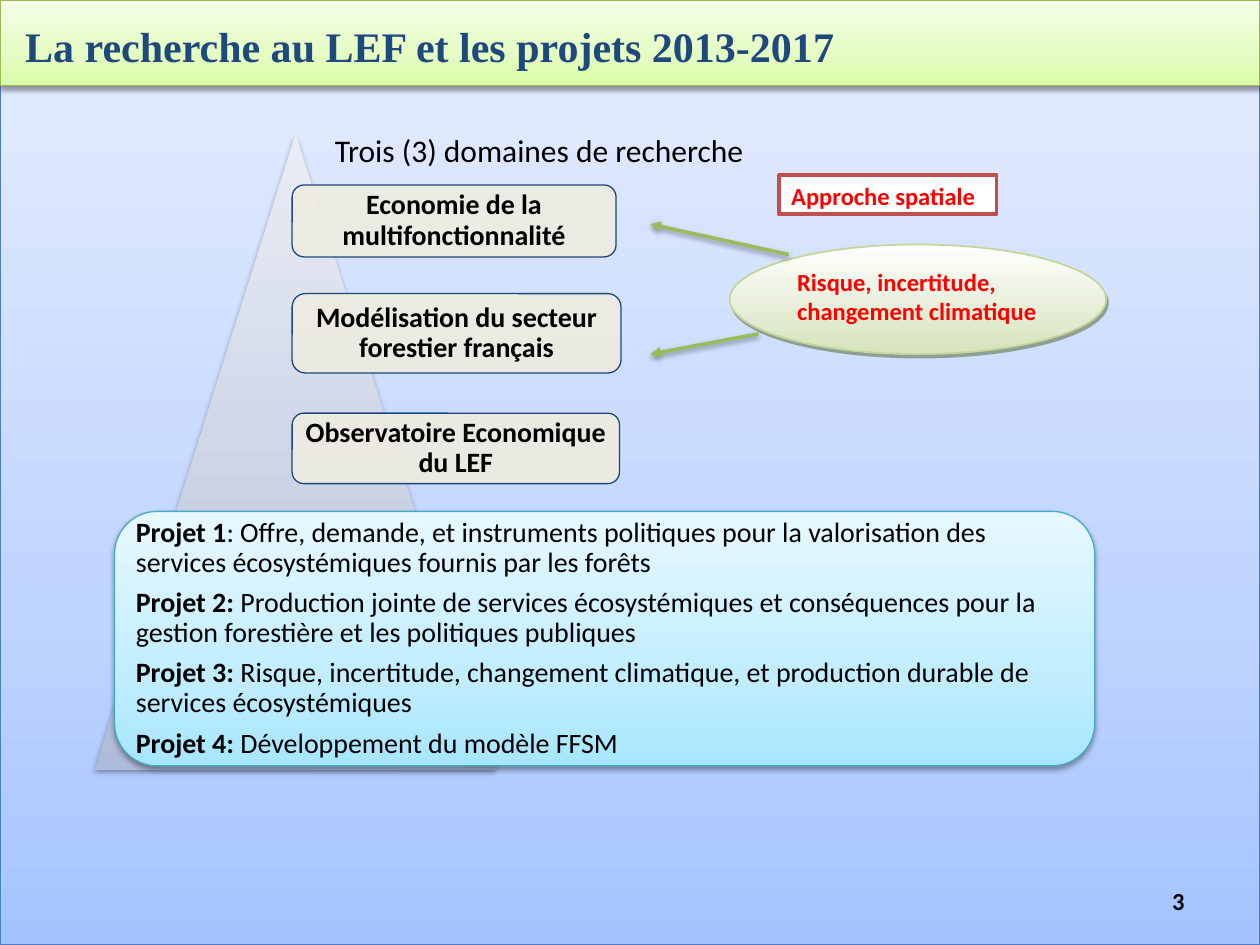
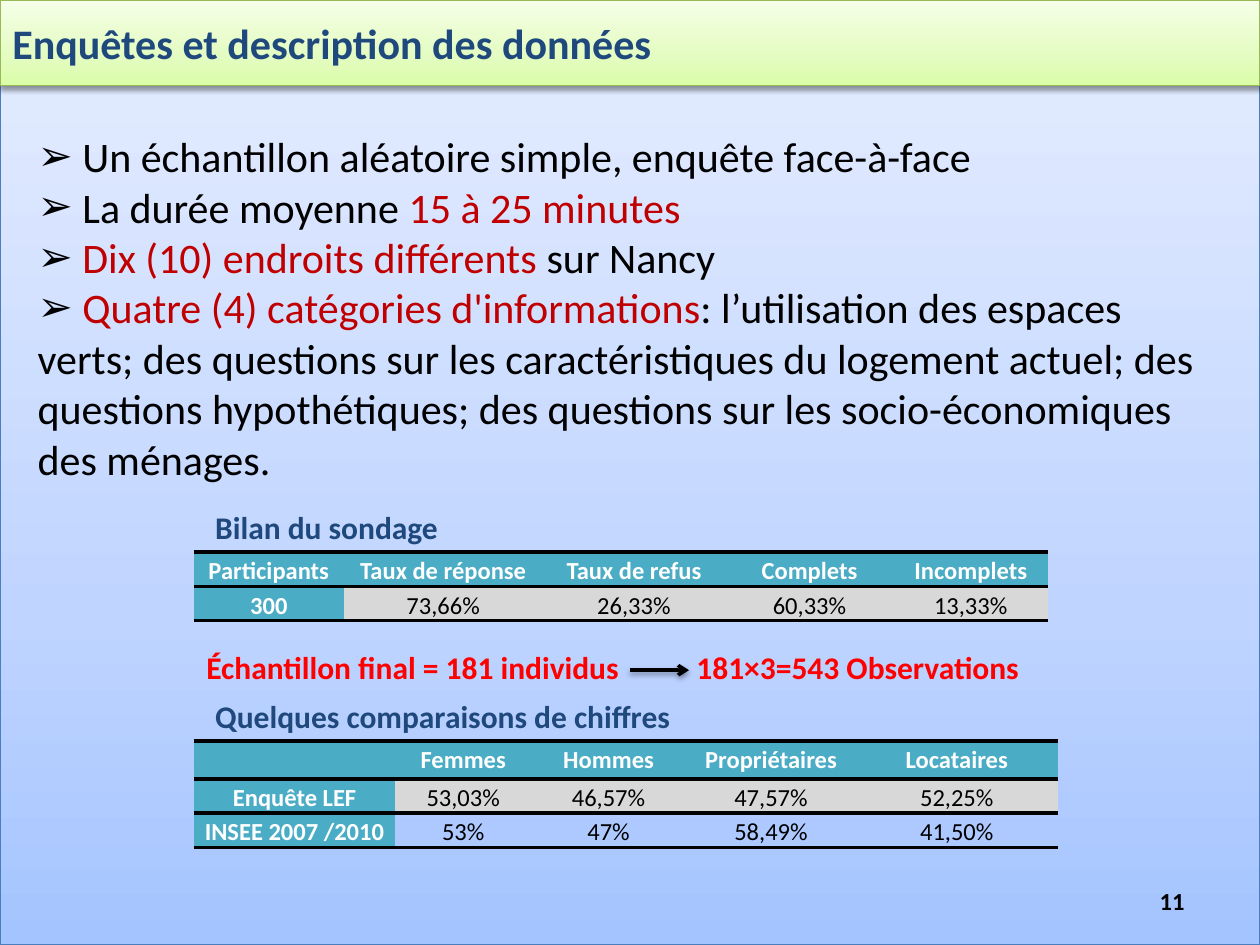
from dataclasses import dataclass

from lxml import etree
from pptx import Presentation
from pptx import util as u
from pptx.dml import color
from pptx.enum import shapes, text
from pptx.oxml import ns

# ---------- Content ----------
TITLES = {
    "research": dict(words="La recherche au LEF et les projets 2013-2017",
                     font="Times New Roman", left=0.51, top=0.24, page="3"),
    "survey": dict(words="Enquêtes et description des données",
                   font="Calibri", left=0.25, top=0.13, page="11"),
}
DOMAINS_HEADING = "Trois (3) domaines de recherche"
DOMAINS = [  # words, top, width, height
    ("Economie de la multifonctionnalité", 3.73, 6.53, 1.45),
    ("Modélisation du secteur forestier français", 5.92, 6.63, 1.6),
    ("Observatoire Economique du LEF", 8.33, 6.6, 1.42),
]
PROJECTS = [
    ("Projet 1", ": Offre, demande, et instruments politiques pour la valorisation "
                 "des services écosystémiques fournis par les forêts"),
    ("Projet 2: ", "Production jointe de services écosystémiques et conséquences "
                   "pour la gestion forestière et les politiques publiques"),
    ("Projet 3: ", "Risque, incertitude, changement climatique, et production "
                   "durable de services écosystémiques"),
    ("Projet 4: ", "Développement du modèle FFSM"),
]
APPROACH = "Approche spatiale"
RISK = "Risque, incertitude, changement climatique"
RISK_ARROWS = [(15.9, 5.13, 13.11, 4.52), (15.29, 6.73, 13.11, 7.14)]

METHOD = [  # each run: words, stressed or not
    [(" Un échantillon aléatoire simple, enquête face-à-face", False)],
    [(" La durée moyenne ", False), ("15 à 25 minutes", True)],
    [(" ", False), ("Dix (10) endroits différents ", True), ("sur Nancy", False)],
    [(" ", False), ("Quatre (4) catégories d'informations", True),
     (": l’utilisation des espaces verts; des questions sur les caractéristiques "
      "du logement actuel; des questions hypothétiques; des questions sur les "
      "socio-économiques des ménages.", False)],
]
SAMPLE = [("Échantillon final = 181 individus", 3.91), ("181×3=543 Observations", 13.79)]
SURVEY_TABLES = [
    dict(heading="Bilan du sondage", top=11.13, widths=[3.02, 4.01, 3.68, 3.4, 3.1],
         rows=[["Participants", "Taux de réponse", "Taux de refus", "Complets", "Incomplets"],
               ["300", "73,66%", "26,33%", "60,33%", "13,33%"]]),
    dict(heading="Quelques comparaisons de chiffres", top=14.94,
         widths=[4.06, 2.74, 3.12, 3.43, 4.06],
         rows=[["", "Femmes", "Hommes", "Propriétaires", "Locataires"],
               ["Enquête LEF", "53,03%", "46,57%", "47,57%", "52,25%"],
               ["INSEE 2007 /2010", "53%", "47%", "58,49%", "41,50%"]]),
]


# ---------- Theme ----------
@dataclass(frozen=True)
class Theme:
    font: str = "Calibri"
    title: int = 24
    heading: int = 18
    body: int = 16
    small: int = 14
    navy: str = "1F497D"
    black: str = "000000"
    white: str = "FFFFFF"
    red: str = "FF0000"
    stress: str = "C00000"
    green: str = "9BBB59"
    brick: str = "C0504D"
    beige: str = "EEECE1"
    box_line: str = "1C477D"
    teal: str = "4BACC6"
    grey: str = "D8D8D8"
    # Gradients: angle, then stops
    sky: tuple = (270, (0, "A4C4FF"), (35, "BFD4FF"), (100, "E6EEFF"))
    lime: tuple = (270, (0, "DAFDA7"), (35, "E4FCC2"), (100, "F5FFE7"))
    leaf: tuple = (90, (0, "FFFFFF"), (100, "D6E3BC"))
    mist: tuple = (270, (0, "AFBBDA"), (35, "C7CFE4"), (100, "EAEDF5"))
    aqua: tuple = (270, (0, "A7E6FF"), (35, "C1EDFF"), (100, "E7F8FF"))
    # Shadows: colour, opacity, blur, distance, direction
    soft: tuple = ("000000", 38, 3.1, 1.6, 90)
    hard: tuple = ("4E6128", 50, 0, 2.2, 63)


T = Theme()
WIDTH, HEIGHT, BAND = 25.4, 19.05, 1.73
ROW_HEIGHT = 0.69
NO_TABLE_STYLE = "{2D5ABB26-0587-4C30-8999-92F81FD0307C}"
MIDDLE = text.MSO_ANCHOR.MIDDLE
CENTER, RIGHT = text.PP_ALIGN.CENTER, text.PP_ALIGN.RIGHT
PRESET = shapes.MSO_SHAPE


# ---------- Helpers ----------
def rgb(code):
    return color.RGBColor.from_string(code)


def child(parent, tag, **attributes):
    return etree.SubElement(parent, ns.qn(f"a:{tag}"),
                            {key: str(value) for key, value in attributes.items()})


def add_color(parent, code, opacity=100):
    tint = child(parent, "srgbClr", val=code)
    if opacity < 100:
        child(tint, "alpha", val=opacity * 1000)


def paint(shape, fill, opacity=100):
    if isinstance(fill, str):
        shape.fill.solid()
        shape.fill.fore_color.rgb = rgb(fill)
        if opacity < 100:
            tint = shape._element.spPr.find(ns.qn("a:solidFill"))[0]
            child(tint, "alpha", val=opacity * 1000)
        return
    angle, *stops = fill
    shape.fill.gradient()
    gradient = shape._element.spPr.find(ns.qn("a:gradFill"))
    for part in list(gradient):
        gradient.remove(part)
    stop_list = child(gradient, "gsLst")
    for position, code in stops:
        add_color(child(stop_list, "gs", pos=position * 1000), code)
    child(gradient, "lin", ang=angle * 60000, scaled=0)


def cast_shadow(effects, shadow):
    code, opacity, blur, distance, direction = shadow
    outer = child(effects, "outerShdw", blurRad=u.Pt(blur), dist=u.Pt(distance),
                  dir=direction * 60000, rotWithShape=0)
    add_color(outer, code, opacity)


def add_box(slide, preset, place, fill, line=None, shadow=None, opacity=100):
    box = slide.shapes.add_shape(preset, *map(u.Cm, place))
    paint(box, fill, opacity)
    if line:
        box.line.color.rgb, box.line.width = rgb(line[0]), u.Pt(line[1])
    else:
        box.line.fill.background()
    box.shadow.inherit = False
    if shadow:
        cast_shadow(box._element.spPr.find(ns.qn("a:effectLst")), shadow)
    return box


def add_arrow(slide, ends, code, head):
    arrow = slide.shapes.add_connector(shapes.MSO_CONNECTOR.STRAIGHT, *map(u.Cm, ends))
    arrow.line.color.rgb, arrow.line.width = rgb(code), u.Pt(2)
    child(arrow.line._get_or_add_ln(), "tailEnd", type=head)
    cast_shadow(child(arrow._element.spPr, "effectLst"), T.soft)


def write(frame, paragraphs, size, code=T.black, bold=False, font=T.font,
          layout=None, **frame_format):
    """Fill a frame; each paragraph is a list of (words, changed format) runs."""
    for key, value in {"word_wrap": True, **frame_format}.items():
        setattr(frame, key, value)
    for index, runs in enumerate(paragraphs):
        paragraph = frame.add_paragraph() if index else frame.paragraphs[0]
        for key, value in {"alignment": text.PP_ALIGN.LEFT, **(layout or {})}.items():
            setattr(paragraph, key, value)
        for words, changes in runs:
            run = paragraph.add_run()
            run.text = words
            style = {"size": u.Pt(size), "bold": bold, "name": font, "code": code, **changes}
            run.font.color.rgb = rgb(style.pop("code"))
            for key, value in style.items():
                setattr(run.font, key, value)


def add_text(slide, place, words, size, **style):
    label = slide.shapes.add_textbox(*map(u.Cm, place))
    write(label.text_frame, [[(words, {})]], size, **style)


def margins(size):
    return {f"margin_{side}": u.Cm(size) for side in ("left", "top", "right", "bottom")}


def start_slide(deck, words, font, left, top, page):
    """Background, title band and page number."""
    slide = deck.slides.add_slide(deck.slide_layouts[6])
    add_box(slide, PRESET.RECTANGLE, (0, 0, WIDTH, HEIGHT), T.sky, ("4B7EBC", 0.75), T.soft)
    band = add_box(slide, PRESET.RECTANGLE, (0, 0, WIDTH, BAND), T.lime, ("98B955", 0.75), T.soft)
    write(band.text_frame, [[(words, {})]], T.title, T.navy, True, font,
          vertical_anchor=MIDDLE, margin_left=u.Cm(left), margin_top=u.Cm(top))
    add_text(slide, (18.21, 17.65, 5.92, 1.02), page, T.small, bold=True,
             layout={"alignment": RIGHT}, vertical_anchor=MIDDLE)
    return slide


def rule_cell(cell, sides):
    properties = cell._tc.get_or_add_tcPr()
    for index, side in enumerate(sides):
        rule = etree.Element(ns.qn(f"a:ln{side}"), w=str(u.Pt(2.25)))
        add_color(child(rule, "solidFill"), T.black)
        properties.insert(index, rule)


def add_survey_table(slide, heading, top, widths, rows):
    add_text(slide, (4.09, top - 1.01, 10.2, 1.02), heading, T.heading,
             code=T.navy, bold=True)
    graphic = slide.shapes.add_table(len(rows), len(widths), u.Cm(3.91), u.Cm(top),
                                     u.Cm(sum(widths)), u.Cm(ROW_HEIGHT * len(rows)))
    graphic._element.xpath(".//a:tableStyleId")[0].text = NO_TABLE_STYLE
    table = graphic.table
    for column, width in zip(table.columns, widths):
        column.width = u.Cm(width)
    for r, values in enumerate(rows):
        table.rows[r].height = u.Cm(ROW_HEIGHT)
        for c, value in enumerate(values):
            cell = table.cell(r, c)
            label = r == 0 or c == 0
            for key, size in {"left": 0.18, "right": 0.18, "top": 0, "bottom": 0}.items():
                setattr(cell, f"margin_{key}", u.Cm(size))
            if label or r == 1:
                cell.fill.solid()
                cell.fill.fore_color.rgb = rgb(T.teal if label else T.grey)
            else:
                cell.fill.background()
            write(cell.text_frame, [[(value, {})]], T.small, T.white if label else T.black,
                  label, layout={"alignment": CENTER, "line_spacing": 1.15})
            # Rules above and below the header, and under the last row
            sides = ("T" if r < 2 else "") + ("B" if r in (0, len(rows) - 1) else "")
            rule_cell(cell, sides)


# ---------- Slides ----------
def build_research(deck):
    slide = start_slide(deck, **TITLES["research"])

    # Cross-cutting themes
    risk = add_box(slide, PRESET.OVAL, (14.71, 4.93, 7.59, 2.21), T.leaf,
                   ("C2D69B", 1), T.hard)
    for ends in RISK_ARROWS:
        add_arrow(slide, ends, T.green, "triangle")
    approach = add_box(slide, PRESET.RECTANGLE, (15.7, 3.53, 4.39, 0.79), T.white, (T.brick, 2))
    for theme, words in ((risk, RISK), (approach, APPROACH)):
        write(theme.text_frame, [[(words, {})]], T.small, T.red, True,
              vertical_anchor=text.MSO_ANCHOR.TOP)

    # Pyramid of research domains
    add_box(slide, PRESET.ISOSCELES_TRIANGLE, (1.91, 2.72, 8.1, 12.8), T.mist, shadow=T.soft)
    add_text(slide, (6.5, 2.51, 8.99, 1.02), DOMAINS_HEADING, T.heading)
    for words, top, width, height in DOMAINS:
        domain = add_box(slide, PRESET.ROUNDED_RECTANGLE, (5.89, top, width, height),
                         T.beige, (T.box_line, 0.75), opacity=90)
        write(domain.text_frame, [[(words, {})]], T.body, bold=True, vertical_anchor=MIDDLE,
              layout={"alignment": CENTER, "line_spacing": 0.9}, **margins(0.18))

    # Projects
    projects = add_box(slide, PRESET.ROUNDED_RECTANGLE, (2.31, 10.31, 19.76, 5.13),
                       T.aqua, ("46AAC5", 0.75), T.soft)
    write(projects.text_frame,
          [[(name, {"bold": True}), (subject, {})] for name, subject in PROJECTS],
          T.body, layout={"line_spacing": 0.9}, vertical_anchor=MIDDLE, **margins(0.18))
    for paragraph in projects.text_frame.paragraphs[:-1]:
        paragraph.space_after = u.Pt(5.6)


def build_survey(deck):
    slide = start_slide(deck, **TITLES["survey"])

    # Method
    method = slide.shapes.add_textbox(*map(u.Cm, (0.51, 2.51, 24, 8.46))).text_frame
    write(method, [[(words, {"code": T.stress if stressed else T.black})
                    for words, stressed in runs] for runs in METHOD], T.title)
    for paragraph in method.paragraphs:
        properties = paragraph._p.get_or_add_pPr()
        properties.set("marL", "0")
        properties.set("indent", "0")
        child(properties, "buFont", typeface="Arial")
        child(properties, "buChar", char="➢")

    # Results
    for survey_table in SURVEY_TABLES:
        add_survey_table(slide, **survey_table)
    for words, left in SAMPLE:
        add_text(slide, (left, 12.93, 9, 1.02), words, T.heading, code=T.red, bold=True)
    add_arrow(slide, (12.7, 13.51, 13.89, 13.51), T.black, "arrow")


def main():
    deck = Presentation()
    deck.slide_width, deck.slide_height = u.Cm(WIDTH), u.Cm(HEIGHT)
    build_research(deck)
    build_survey(deck)
    deck.save("out.pptx")


if __name__ == "__main__":
    main()
